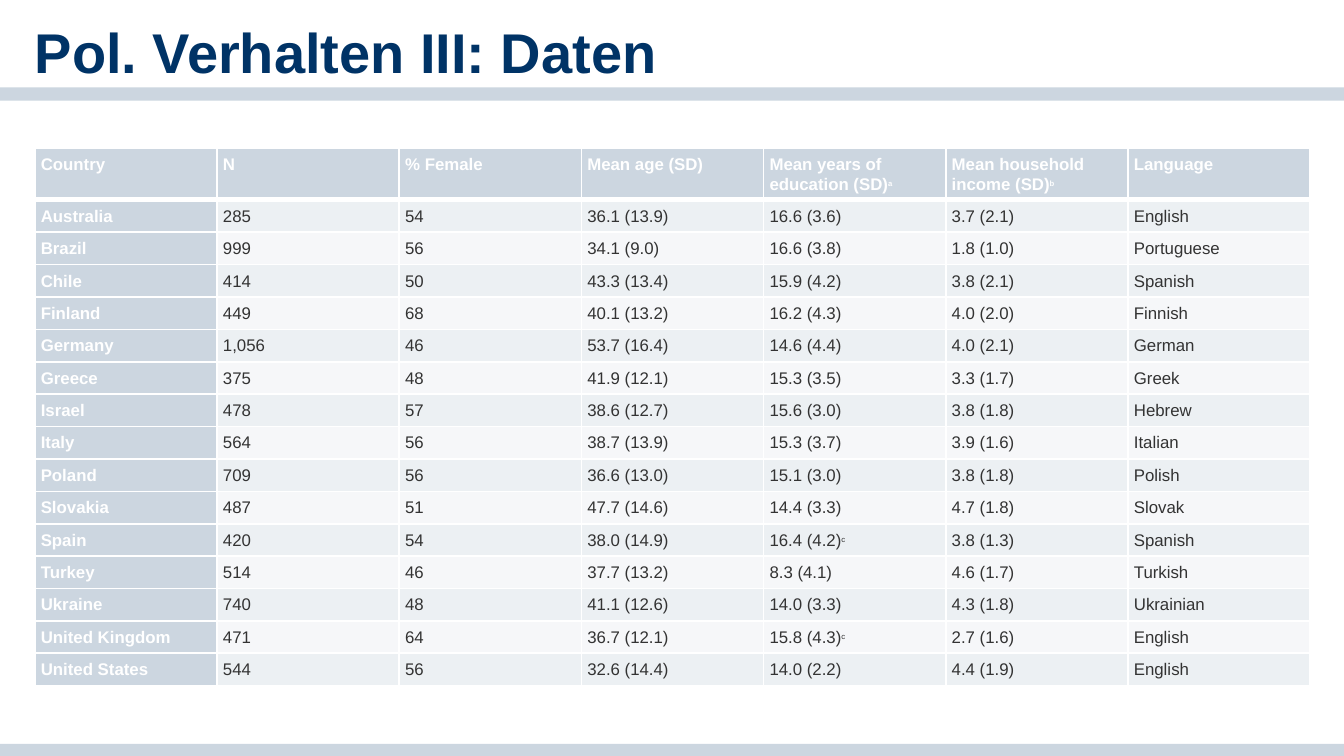
from lxml import etree
from pptx import Presentation
from pptx.dml.color import RGBColor
from pptx.enum.shapes import MSO_SHAPE
from pptx.enum.text import MSO_ANCHOR, MSO_AUTO_SIZE, PP_ALIGN
from pptx.oxml.ns import qn
from pptx.util import Pt

RECTANGLE = MSO_SHAPE.RECTANGLE
TOP = MSO_ANCHOR.TOP
LEFT = PP_ALIGN.LEFT
NO_AUTOFIT = MSO_AUTO_SIZE.NONE
TITLE_ONLY = 5

NAVY, BAND, WHITE, DARK = "003366", "CCD6E0", "FFFFFF", "333333"
STRIPES = ("ECF0F3", "F6F7F9")

# A caret marks the start of a superscript.
HEADERS = ["Country", "N", "% Female", "Mean age (SD)",
           "Mean years of education (SD)^a", "Mean household income (SD)^b",
           "Language"]
COUNTRIES = [
    ["Australia", "285", "54", "36.1 (13.9)", "16.6 (3.6)", "3.7 (2.1)", "English"],
    ["Brazil", "999", "56", "34.1 (9.0)", "16.6 (3.8)", "1.8 (1.0)", "Portuguese"],
    ["Chile", "414", "50", "43.3 (13.4)", "15.9 (4.2)", "3.8 (2.1)", "Spanish"],
    ["Finland", "449", "68", "40.1 (13.2)", "16.2 (4.3)", "4.0 (2.0)", "Finnish"],
    ["Germany", "1,056", "46", "53.7 (16.4)", "14.6 (4.4)", "4.0 (2.1)", "German"],
    ["Greece", "375", "48", "41.9 (12.1)", "15.3 (3.5)", "3.3 (1.7)", "Greek"],
    ["Israel", "478", "57", "38.6 (12.7)", "15.6 (3.0)", "3.8 (1.8)", "Hebrew"],
    ["Italy", "564", "56", "38.7 (13.9)", "15.3 (3.7)", "3.9 (1.6)", "Italian"],
    ["Poland", "709", "56", "36.6 (13.0)", "15.1 (3.0)", "3.8 (1.8)", "Polish"],
    ["Slovakia", "487", "51", "47.7 (14.6)", "14.4 (3.3)", "4.7 (1.8)", "Slovak"],
    ["Spain", "420", "54", "38.0 (14.9)", "16.4 (4.2)^c", "3.8 (1.3)", "Spanish"],
    ["Turkey", "514", "46", "37.7 (13.2)", "8.3 (4.1)", "4.6 (1.7)", "Turkish"],
    ["Ukraine", "740", "48", "41.1 (12.6)", "14.0 (3.3)", "4.3 (1.8)", "Ukrainian"],
    ["United Kingdom", "471", "64", "36.7 (12.1)", "15.8 (4.3)^c", "2.7 (1.6)", "English"],
    ["United States", "544", "56", "32.6 (14.4)", "14.0 (2.2)", "4.4 (1.9)", "English"],
]


def color(value):
    return RGBColor.from_string(value)


def write_text(frame, text, size, font_color, bold, line_spacing, margin=0):
    """Fill a text frame or cell paragraph; text after a caret is superscript."""
    frame.margin_left = frame.margin_right = Pt(margin)
    frame.margin_top = frame.margin_bottom = Pt(margin)
    frame.word_wrap = True
    paragraph = frame.paragraphs[0]
    paragraph.alignment = LEFT
    paragraph.line_spacing = line_spacing
    for index, part in enumerate(text.split("^")):
        run = paragraph.add_run()
        run.text = part
        run.font.name = "Arial"
        run.font.size = Pt(7 if index else size)
        run.font.bold = bold
        run.font.color.rgb = color(font_color)
        if index:
            run._r.get_or_add_rPr().set("baseline", "30000")


presentation = Presentation()
presentation.slide_width = Pt(720)
presentation.slide_height = Pt(405)
slide = presentation.slides.add_slide(presentation.slide_layouts[TITLE_ONLY])

# Bands under the title and at the foot
for top in (46.8, 398.6):
    band = slide.shapes.add_shape(RECTANGLE, 0, Pt(top), Pt(720), Pt(7.2))
    band.shadow.inherit = False
    band.fill.solid()
    band.fill.fore_color.rgb = color(BAND)
    band.line.fill.background()

# Title
title = slide.shapes.title
title.left, title.top, title.width, title.height = Pt(18.7), Pt(5.8), Pt(508), Pt(33.8)
title.text_frame.auto_size = NO_AUTOFIT
title.text_frame.vertical_anchor = TOP
write_text(title.text_frame, "Pol. Verhalten III: Daten", 30, NAVY, True, 1.1)

# Country table
rows = [HEADERS] + COUNTRIES
frame = slide.shapes.add_table(len(rows), len(HEADERS), Pt(18.7), Pt(79.2), Pt(683.2), Pt(288.4))
table = frame.table
for column in table.columns:
    column.width = Pt(97.6)
for row_index, values in enumerate(rows):
    table.rows[row_index].height = Pt(17.37 if row_index else 27.9)
    for column_index, text in enumerate(values):
        cell = table.cell(row_index, column_index)
        heading = row_index == 0 or column_index == 0
        write_text(cell.text_frame, text, 9, WHITE if heading else DARK, heading, 1.07)
        cell.margin_left = cell.margin_right = Pt(3.15)
        cell.margin_top = cell.margin_bottom = Pt(3.15)
        cell.vertical_anchor = TOP

        properties = cell._tc.get_or_add_tcPr()
        for side in ("L", "R", "T", "B"):
            thick = (row_index, side) in ((0, "B"), (1, "T"))
            border = etree.SubElement(properties, qn(f"a:ln{side}"), w=str(Pt(3 if thick else 1)))
            fill = etree.SubElement(border, qn("a:solidFill"))
            etree.SubElement(fill, qn("a:srgbClr"), val=WHITE)
        cell.fill.solid()
        cell.fill.fore_color.rgb = color(BAND if heading else STRIPES[(row_index - 1) % 2])

presentation.save("out.pptx")
